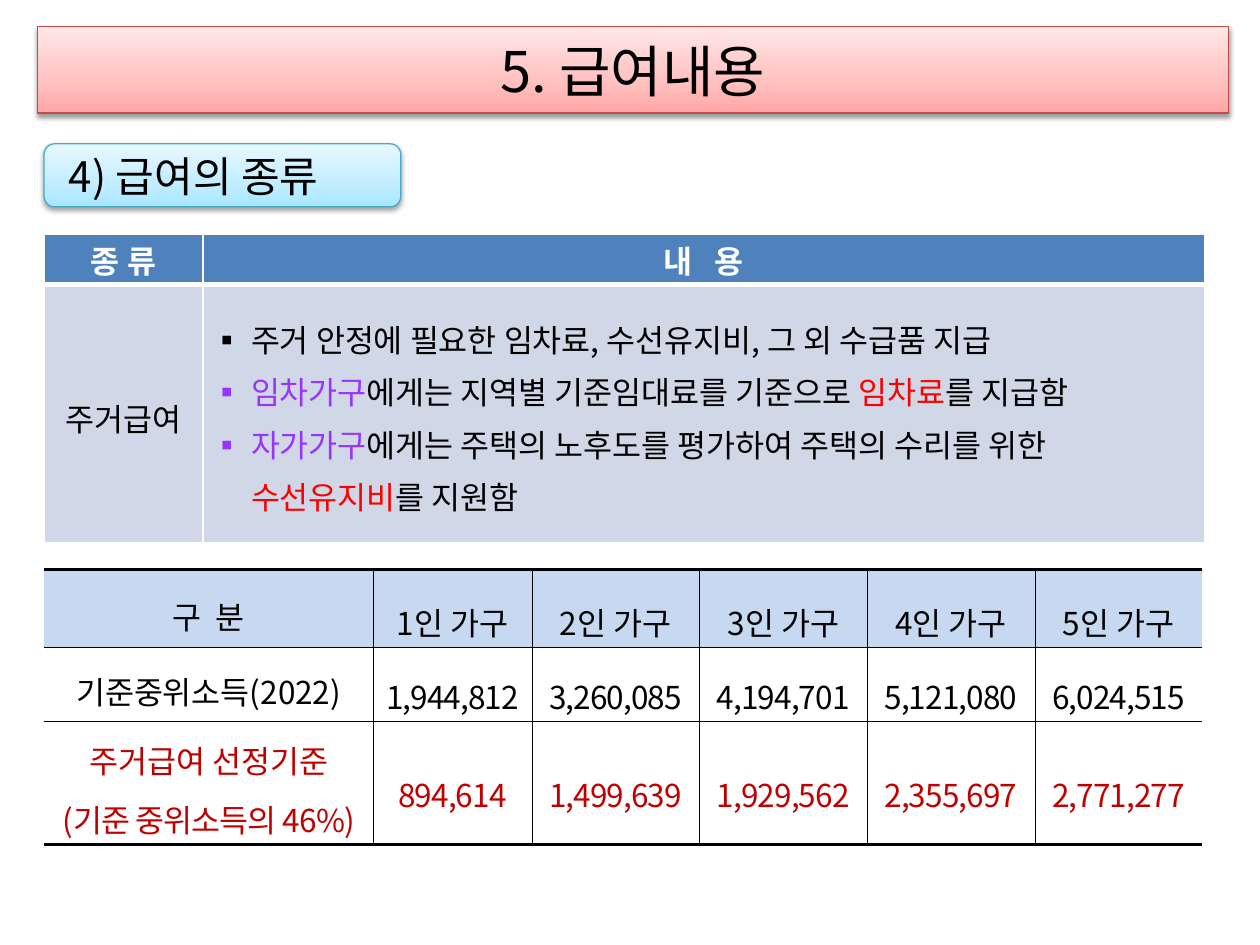
from lxml import etree
from pptx import Presentation
from pptx.dml.color import RGBColor
from pptx.enum.shapes import MSO_SHAPE
from pptx.enum.text import MSO_ANCHOR, PP_ALIGN
from pptx.oxml import parse_xml
from pptx.oxml.ns import nsdecls, qn
from pptx.util import Cm, Pt

FONT = "Noto Sans CJK KR"
BLACK = RGBColor(0x00, 0x00, 0x00)
WHITE = RGBColor(0xFF, 0xFF, 0xFF)
RED = RGBColor(0xFF, 0x00, 0x00)
DARK_RED = RGBColor(0xC0, 0x00, 0x00)
PURPLE = RGBColor(0x99, 0x33, 0xFF)
HEADER_BLUE = RGBColor(0x4F, 0x81, 0xBD)
BODY_BLUE = RGBColor(0xD0, 0xD8, 0xE8)
PALE_BLUE = RGBColor(0xC6, 0xD9, 0xF1)
TITLE_LINE = RGBColor(0xBF, 0x4C, 0x48)
TITLE_STOPS = (RGBColor(0xFF, 0xA6, 0xA5), RGBColor(0xFF, 0xC0, 0xBF), RGBColor(0xFF, 0xE7, 0xE7))
SECTION_LINE = RGBColor(0x46, 0xAA, 0xC5)
SECTION_STOPS = (RGBColor(0xA7, 0xE6, 0xFF), RGBColor(0xC1, 0xED, 0xFF), RGBColor(0xE7, 0xF8, 0xFF))

BENEFIT_DETAILS = [
    [("주거 안정에 필요한 임차료, 수선유지비, 그 외 수급품 지급", BLACK)],
    [("임차가구", PURPLE), ("에게는 지역별 기준임대료를 기준으로 ", BLACK),
     ("임차료", RED), ("를 지급함", BLACK)],
    [("자가가구", PURPLE), ("에게는 주택의 노후도를 평가하여 주택의 수리를 위한 ", BLACK),
     ("수선유지비", RED), ("를 지원함", BLACK)],
]
HOUSEHOLDS = [f"{size}인 가구" for size in range(1, 6)]
MEDIAN_INCOME = ["1,944,812", "3,260,085", "4,194,701", "5,121,080", "6,024,515"]
HOUSING_LIMIT = ["894,614", "1,499,639", "1,929,562", "2,355,697", "2,771,277"]


def add_run(paragraph, text, color, size=18, bold=False, spacing=0):
    run = paragraph.add_run()
    run.text = text
    font = run.font
    font.name, font.size, font.bold = FONT, Pt(size), bold
    font.color.rgb = color
    properties = run.font._element
    etree.SubElement(properties, qn("a:ea")).set("typeface", FONT)
    if spacing:
        properties.set("spc", str(int(spacing * 100)))


def add_bullet(paragraph):
    properties = paragraph._p.get_or_add_pPr()
    properties.set("marL", str(Cm(0.79)))
    properties.set("indent", str(Cm(-0.79)))
    etree.SubElement(properties, qn("a:buFont")).set("typeface", FONT)
    etree.SubElement(properties, qn("a:buChar")).set("char", "▪")


def set_borders(cell, **widths):
    """Set left, right, top and bottom as (colour, points); a missing side has no line."""
    properties = cell._tc.get_or_add_tcPr()
    for index, side in enumerate(("left", "right", "top", "bottom")):
        line = etree.Element(qn(f"a:ln{side[0].upper()}"))
        if widths.get(side):
            color, points = widths[side]
            line.set("w", str(Pt(points)))
            fill = etree.SubElement(line, qn("a:solidFill"))
            etree.SubElement(fill, qn("a:srgbClr")).set("val", str(color))
        else:
            etree.SubElement(line, qn("a:noFill"))
        properties.insert(index, line)


def fill_cell(cell, paragraphs, fill=None, line_spacing=None, bullets=False, **run_style):
    """Write paragraphs, each a list of (text, colour, optional letter spacing)."""
    cell.margin_left = cell.margin_right = Cm(0.18)
    cell.margin_top = cell.margin_bottom = Cm(0.05)
    cell.vertical_anchor = MSO_ANCHOR.MIDDLE
    if fill is None:
        cell.fill.background()
    else:
        cell.fill.solid()
        cell.fill.fore_color.rgb = fill
    frame = cell.text_frame
    for index, runs in enumerate(paragraphs):
        paragraph = frame.add_paragraph() if index else frame.paragraphs[0]
        if bullets:
            add_bullet(paragraph)
        else:
            paragraph.alignment = PP_ALIGN.CENTER
        if line_spacing:
            paragraph.line_spacing = line_spacing
        for text, color, *spacing in runs:
            add_run(paragraph, text, color, spacing=spacing[0] if spacing else 0, **run_style)


def add_grid(slide, left, top, columns, rows):
    table = slide.shapes.add_table(len(rows), len(columns), left, top,
                                   sum(columns), sum(rows)).table
    table.first_row = table.horz_banding = False
    for column, width in zip(table.columns, columns):
        column.width = width
    for row, height in zip(table.rows, rows):
        row.height = height
    return table


def add_banner(slide, box, preset, stops, line_color, text, size, align, inset=Cm(0.25)):
    """Gradient heading with a soft shadow."""
    banner = slide.shapes.add_shape(preset, *box)
    banner.fill.gradient()
    banner.fill.gradient_angle = 90
    stop_list = banner._element.spPr.find(f".//{qn('a:gsLst')}")
    for old_stop in list(stop_list):
        stop_list.remove(old_stop)
    for position, color in zip((0, 35, 100), stops):
        stop = etree.SubElement(stop_list, qn("a:gs"))
        stop.set("pos", str(position * 1000))
        etree.SubElement(stop, qn("a:srgbClr")).set("val", str(color))
    banner.line.color.rgb = line_color
    banner.line.width = Pt(0.75)
    banner.shadow.inherit = False
    banner._element.spPr.find(qn("a:effectLst")).append(parse_xml(
        f'<a:outerShdw {nsdecls("a")} blurRad="{Pt(3.1)}" dist="{Pt(1.6)}" dir="5400000" '
        'rotWithShape="0"><a:srgbClr val="000000"><a:alpha val="38000"/></a:srgbClr>'
        '</a:outerShdw>'))
    frame = banner.text_frame
    frame.word_wrap = True
    frame.vertical_anchor = MSO_ANCHOR.MIDDLE
    frame.margin_left = inset
    frame.paragraphs[0].alignment = align
    add_run(frame.paragraphs[0], text, BLACK, size)


def add_benefit_table(slide, left, top):
    table = add_grid(slide, left, top, (Cm(3.2), Cm(20.19)), (Cm(0.99), Cm(5.21)))
    thin, thick = (WHITE, 1), (WHITE, 3)
    # Header row
    for column, heading in enumerate(("종 류", "내   용")):
        cell = table.cell(0, column)
        fill_cell(cell, [[(heading, WHITE)]], HEADER_BLUE, bold=True)
        set_borders(cell, left=thin, right=thin, top=thin, bottom=thick)
    # Benefit and its details
    fill_cell(table.cell(1, 0), [[("주거급여", BLACK)]], BODY_BLUE, Pt(30))
    fill_cell(table.cell(1, 1), BENEFIT_DETAILS, BODY_BLUE, Pt(30), bullets=True)
    for column in range(2):
        set_borders(table.cell(1, column), left=thin, right=thin, top=thick, bottom=thin)


def add_income_table(slide, left, top):
    columns = [Cm(6.63), Cm(3.2)] + [Cm(3.38)] * 4
    table = add_grid(slide, left, top, columns, (Cm(1.45), Cm(1.42), Cm(2.46)))
    thin, thick = (BLACK, 0.28), (BLACK, 1.7)
    tight = -0.5
    # Row label paragraphs, values, text colour, fill, value line spacing, letter spacing
    rows = [
        ([[("구  분", BLACK)]], HOUSEHOLDS, BLACK, PALE_BLUE, 1.6, 0),
        ([[("기준중위소득(2022)", BLACK)]], MEDIAN_INCOME, BLACK, None, 1.5, tight),
        ([[("주거급여 선정기준", DARK_RED)], [("(기준 중위소득의 46%)", DARK_RED, tight)]],
         HOUSING_LIMIT, DARK_RED, None, 1.5, tight),
    ]
    last_row, last_column = len(rows) - 1, len(columns) - 1
    for row, (label, values, color, fill, value_spacing, letter_spacing) in enumerate(rows):
        fill_cell(table.cell(row, 0), label, fill, 1.3)
        for column, value in enumerate(values, start=1):
            fill_cell(table.cell(row, column), [[(value, color, letter_spacing)]],
                      fill, value_spacing)
        for column in range(len(columns)):
            set_borders(table.cell(row, column),
                        left=thin if column > 0 else None,
                        right=thin if column < last_column else None,
                        top=thin if row > 0 else thick,
                        bottom=thin if row < last_row else thick)


def main():
    presentation = Presentation()
    presentation.slide_width, presentation.slide_height = Cm(25.4), Cm(19.05)
    slide = presentation.slides.add_slide(presentation.slide_layouts[6])
    margin = Cm(0.89)
    # Title
    add_banner(slide, (Cm(0.76), Cm(0.53), Cm(24), Cm(1.75)), MSO_SHAPE.RECTANGLE,
               TITLE_STOPS, TITLE_LINE, "5. 급여내용", 32, PP_ALIGN.CENTER)
    # Tables
    add_benefit_table(slide, margin, Cm(4.72))
    add_income_table(slide, margin, Cm(11.48))
    # Section heading
    add_banner(slide, (margin, Cm(2.9), Cm(7.19), Cm(1.27)), MSO_SHAPE.ROUNDED_RECTANGLE,
               SECTION_STOPS, SECTION_LINE, "4) 급여의 종류", 24, PP_ALIGN.LEFT, Cm(0.44))
    presentation.save("out.pptx")


if __name__ == "__main__":
    main()
